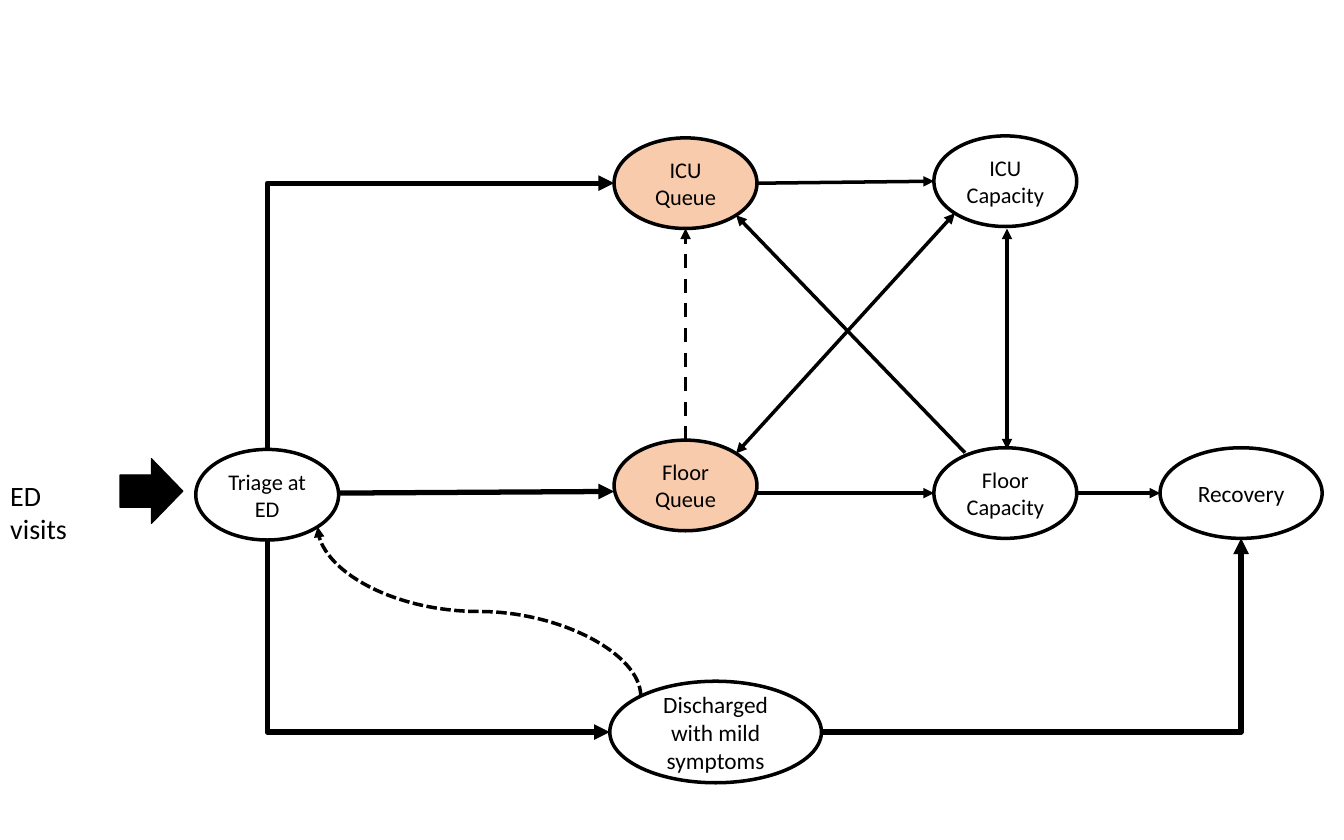
from dataclasses import dataclass
from math import sqrt

from lxml import etree
from pptx import Presentation
from pptx.dml.color import RGBColor
from pptx.enum.dml import MSO_LINE
from pptx.enum.shapes import MSO_CONNECTOR, MSO_SHAPE
from pptx.enum.text import MSO_ANCHOR, PP_ALIGN
from pptx.oxml.ns import qn
from pptx.util import Cm, Pt

OVAL, BLOCK_ARROW = MSO_SHAPE.OVAL, MSO_SHAPE.RIGHT_ARROW
STRAIGHT, ELBOW, CURVE = MSO_CONNECTOR.STRAIGHT, MSO_CONNECTOR.ELBOW, MSO_CONNECTOR.CURVE
DASH, SHORT_DASH = MSO_LINE.DASH, MSO_LINE.SQUARE_DOT
CENTER, MIDDLE = PP_ALIGN.CENTER, MSO_ANCHOR.MIDDLE
BLANK_LAYOUT = 6


@dataclass(frozen=True)
class Theme:
    """Colours, type sizes and line widths of the diagram."""
    font: str = "Calibri"
    ink: str = "000000"
    plain: str = "FFFFFF"
    queue: str = "F8CBAD"
    small: float = 19.2
    medium: float = 20
    large: float = 24
    thin: float = 1
    regular: float = 3
    bold: float = 4.5


class FlowPage:
    """Draws flow-chart elements on one slide, with lengths in centimetres."""

    def __init__(self, page, theme):
        """Keep the slide and its style."""
        self.shapes, self.theme = page.shapes, theme

    def set_text(self, box, text, size):
        """Put formatted text in a shape or text box."""
        frame = box.text_frame
        frame.margin_left = frame.margin_right = Cm(0.28)
        frame.margin_top = frame.margin_bottom = Cm(0.13)
        frame.text = text
        for span in frame.paragraphs[0].runs:
            span.font.name, span.font.size = self.theme.font, Pt(size)
            span.font.color.rgb = RGBColor.from_string(self.theme.ink)
        return frame

    def shape(self, kind, place, fill, width):
        """Add a filled, outlined shape without a shadow."""
        shape = self.shapes.add_shape(kind, *map(Cm, place))
        shape.shadow.inherit = False
        shape.fill.solid()
        shape.fill.fore_color.rgb = RGBColor.from_string(fill)
        shape.line.color.rgb = RGBColor.from_string(self.theme.ink)
        shape.line.width = Pt(width)
        return shape

    def state(self, text, place, fill, size):
        """Add an oval for one patient state."""
        oval = self.shape(OVAL, place, fill, self.theme.regular)
        frame = self.set_text(oval, text, size)
        frame.word_wrap, frame.vertical_anchor = True, MIDDLE
        frame.paragraphs[0].alignment = CENTER
        return oval

    def label(self, text, place):
        """Add a one-line text box."""
        box = self.shapes.add_textbox(*map(Cm, place))
        self.set_text(box, text, self.theme.large).word_wrap = False

    def arrow(self, start, end, kind=STRAIGHT, width=None, dash=None, both=False):
        """Add a connector with a triangle at its end, or at both ends."""
        connector = self.shapes.add_connector(kind, *start, *end)
        connector.line.color.rgb = RGBColor.from_string(self.theme.ink)
        connector.line.width = Pt(width or self.theme.regular)
        if dash:
            connector.line.dash_style = dash
        properties = connector.element.spPr
        line = properties.find(qn("a:ln"))
        for tag in ("a:headEnd", "a:tailEnd") if both else ("a:tailEnd",):
            etree.SubElement(line, qn(tag)).set("type", "triangle")
        etree.SubElement(properties, qn("a:effectLst"))
        return connector

    def corner(self, start, end, vertical_first=False):
        """Add a bold arrow with a single right-angled bend."""
        connector = self.arrow(start, end, ELBOW, self.theme.bold)
        connector.element.spPr.find(qn("a:prstGeom")).set("prst", "bentConnector2")
        if vertical_first:
            self.leave_vertically(connector, start, end)

    def leave_vertically(self, connector, start, end):
        """Turn a connector so that it leaves its start up or down."""
        (x1, y1), (x2, y2) = start, end
        width, height = abs(y2 - y1), abs(x2 - x1)
        connector.left, connector.top = (x1 + x2 - width) // 2, (y1 + y2 - height) // 2
        connector.width, connector.height = width, height
        transform = connector.element.spPr.find(qn("a:xfrm"))
        transform.set("rot", "5400000")
        transform.set("flipH", str(int(y2 < y1)))
        transform.set("flipV", str(int(x2 > x1)))


def point(x, y):
    """Return a position given in centimetres."""
    return Cm(x), Cm(y)


def edge(oval, side):
    """Return the point of an oval's outline at a compass side such as N or SE."""
    across = ("E" in side) - ("W" in side)
    down = ("S" in side) - ("N" in side)
    reach = 2 * sqrt(len(side))
    return (int(oval.left + oval.width / 2 + across * oval.width / reach),
            int(oval.top + oval.height / 2 + down * oval.height / reach))


deck = Presentation()
deck.slide_width, deck.slide_height = Cm(40.64), Cm(25.4)
theme = Theme()
page = FlowPage(deck.slides.add_slide(deck.slide_layouts[BLANK_LAYOUT]), theme)

OVAL_SIZE = (4.32, 2.74)
QUEUE_LEFT, CAPACITY_LEFT = 18.57, 28.24
icu_queue = page.state("ICU Queue", (QUEUE_LEFT, 4.17, *OVAL_SIZE), theme.queue, theme.small)
floor_queue = page.state("Floor Queue", (QUEUE_LEFT, 13.31, *OVAL_SIZE), theme.queue, theme.small)
icu = page.state("ICU Capacity", (CAPACITY_LEFT, 4.11, *OVAL_SIZE), theme.plain, theme.small)
floor = page.state("Floor Capacity", (CAPACITY_LEFT, 13.54, *OVAL_SIZE), theme.plain, theme.small)
triage = page.state("Triage at ED", (5.92, 13.59, *OVAL_SIZE), theme.plain, theme.small)
discharged = page.state("Discharged with mild symptoms", (18.44, 20.6, 6.4, 3.07),
                        theme.plain, theme.medium)
recovery = page.state("Recovery", (35.08, 13.54, 4.9, 2.74), theme.plain, theme.medium)

page.label("ED visits", (0.03, 14.33, 3.4, 1.27))
page.shape(BLOCK_ARROW, (3.63, 13.87, 1.9, 1.96), theme.ink, theme.thin)

page.corner(edge(triage, "N"), edge(icu_queue, "W"), vertical_first=True)
page.corner(edge(triage, "S"), edge(discharged, "W"), vertical_first=True)
page.corner(edge(discharged, "E"), edge(recovery, "S"))
page.arrow(point(10.21, 14.91), point(18.57, 14.86), width=theme.bold)

page.arrow(edge(icu_queue, "E"), edge(icu, "W"))
page.arrow(point(22.86, 14.91), edge(floor, "W"))
page.arrow(edge(floor, "E"), edge(recovery, "W"))
page.arrow(edge(floor_queue, "N"), edge(icu_queue, "S"), dash=DASH)
page.arrow(edge(icu, "SW"), edge(floor_queue, "NE"), both=True)
page.arrow(point(29.18, 13.69), edge(icu_queue, "SE"))
page.arrow(point(30.45, 13.59), point(30.45, 6.91), both=True)

return_start, return_end = edge(discharged, "NW"), edge(triage, "SE")
return_visit = page.arrow(return_start, return_end, CURVE, dash=SHORT_DASH)
page.leave_vertically(return_visit, return_start, return_end)

deck.save("out.pptx")
